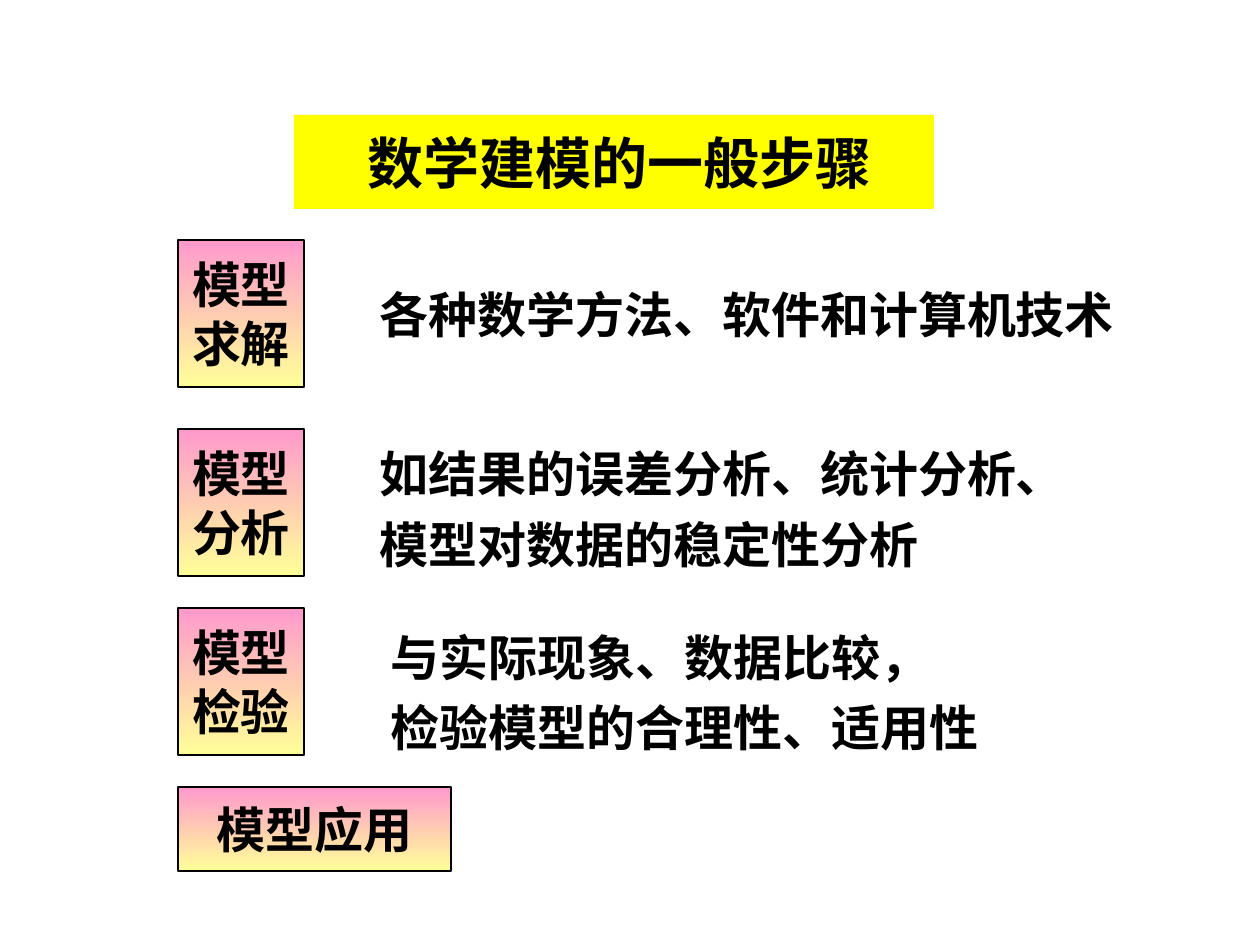
from pptx import Presentation
from pptx.dml.color import RGBColor
from pptx.enum.shapes import MSO_SHAPE as Shape
from pptx.enum.text import MSO_ANCHOR as Anchor, PP_ALIGN as Align
from pptx.oxml.ns import qn
from pptx.util import Emu, Pt
from lxml.etree import SubElement

COLORS = {"text": "000000", "pink": "FF99CC", "cream": "FFFF99", "title": "FFFF00"}
CJK_FONT = "Noto Sans CJK SC"
LATIN_FONT = "Times New Roman"


def px(value):
    return Emu(round(value * 914400 / 126))


def color(name):
    return RGBColor.from_string(COLORS[name])


class StepsSlide:
    def __init__(self, presentation):
        self.slide = presentation.slides.add_slide(presentation.slide_layouts[6])

    def set_text(self, shape, text, size=28, font=LATIN_FONT, align=Align.CENTER,
                 spacing=None, left_inset=13):
        frame = shape.text_frame
        frame.text = text
        frame.word_wrap = True
        frame.vertical_anchor = Anchor.MIDDLE
        frame.margin_left, frame.margin_right = px(left_inset), px(13)
        frame.margin_top = frame.margin_bottom = px(6)
        for paragraph in frame.paragraphs:
            paragraph.alignment = align
            paragraph.line_spacing = spacing
            for run in paragraph.runs:
                run.font.size = Pt(size)
                run.font.bold = True
                run.font.color.rgb = color("text")
                run.font.name = font
                SubElement(run.font._element, qn("a:ea"), typeface=CJK_FONT)

    def rectangle(self, left, top, width, height):
        shape = self.slide.shapes.add_shape(
            Shape.RECTANGLE, px(left), px(top), px(width), px(height))
        shape.shadow.inherit = False
        return shape

    def title(self, text, left, top, width, height):
        shape = self.rectangle(left, top, width, height)
        shape.fill.solid()
        shape.fill.fore_color.rgb = color("title")
        shape.line.fill.background()
        self.set_text(shape, text, size=32, font=CJK_FONT, left_inset=25)

    def step(self, text, left, top, width, height):
        shape = self.rectangle(left, top, width, height)
        shape.fill.gradient()
        shape.fill.gradient_angle = 270
        for stop, name in zip(shape.fill.gradient_stops, ("pink", "cream")):
            stop.color.rgb = color(name)
        shape.line.color.rgb = color("text")
        shape.line.width = Pt(0.75)
        self.set_text(shape, text)

    def note(self, text, left, top, width, height, spacing=None):
        box = self.slide.shapes.add_textbox(px(left), px(top), px(width), px(height))
        self.set_text(box, text, align=Align.LEFT, spacing=spacing)


def main():
    presentation = Presentation()
    presentation.slide_width, presentation.slide_height = px(1260), px(945)
    steps = StepsSlide(presentation)

    steps.title("数学建模的一般步骤", 294, 115, 640, 94)
    for text, top in (("模型\n求解", 240), ("模型\n分析", 429), ("模型\n检验", 608)):
        steps.step(text, 178, top, 126, 147)
    steps.step("模型应用", 178, 787, 273, 84)

    steps.note("各种数学方法、软件和计算机技术", 367, 272, 766, 84)
    steps.note("如结果的误差分析、统计分析、\n模型对数据的稳定性分析", 367, 429, 756, 147, 1.2)
    steps.note("与实际现象、数据比较，\n检验模型的合理性、适用性", 378, 607, 746, 158, 1.2)

    presentation.save("out.pptx")


if __name__ == "__main__":
    main()
